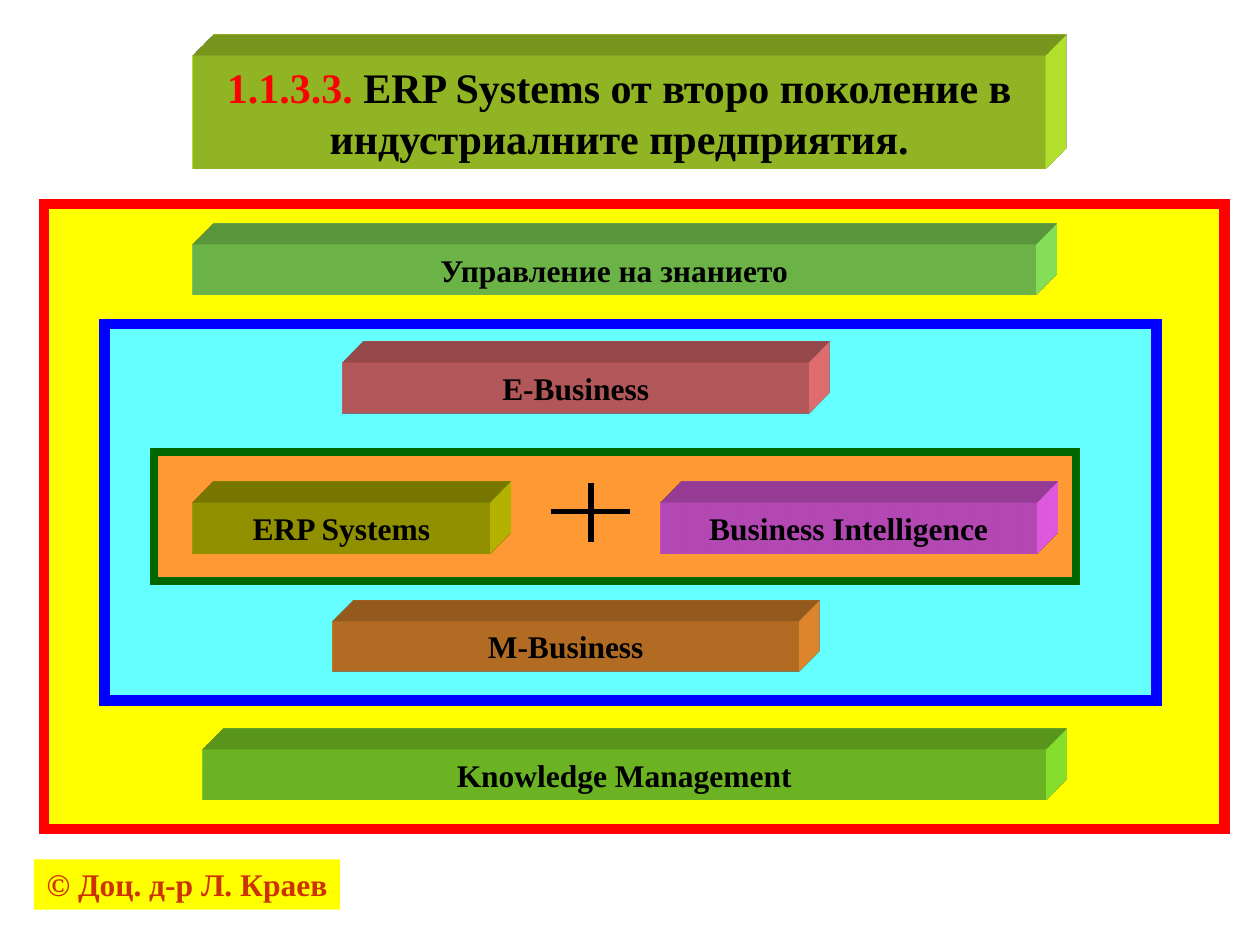
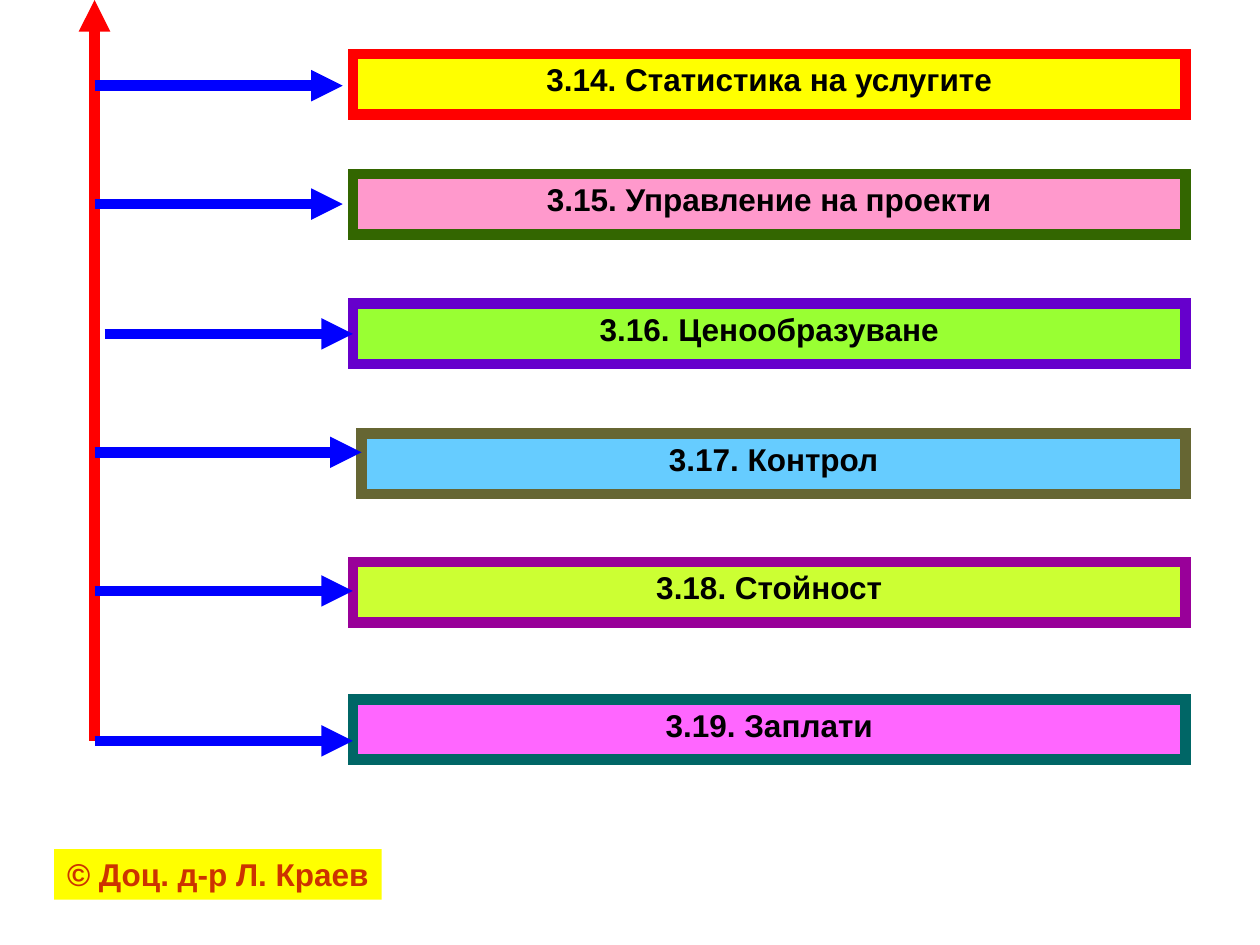
import dataclasses

import lxml.etree
import pptx
import pptx.dml.color
import pptx.enum.shapes
import pptx.enum.text
import pptx.oxml
import pptx.oxml.ns
import pptx.util

COLUMNS, ROWS = 100, 75
TITLE_ONLY, BLANK = 5, 6
RECTANGLE = pptx.enum.shapes.MSO_SHAPE.RECTANGLE

EXTRUSION = """
<a:extrusion xmlns:a="http://schemas.openxmlformats.org/drawingml/2006/main">
  <a:scene3d>
    <a:camera prst="legacyObliqueTopRight"/>
    <a:lightRig rig="legacyFlat3" dir="b"/>
  </a:scene3d>
  <a:sp3d extrusionH="430200" prstMaterial="legacyMatte">
    <a:bevelT w="13500" h="13500" prst="angle"/>
    <a:bevelB w="13500" h="13500" prst="angle"/>
    <a:extrusionClr><a:srgbClr val="{color}"/></a:extrusionClr>
  </a:sp3d>
</a:extrusion>"""


@dataclasses.dataclass(frozen=True)
class Theme:
    serif: str = "Times New Roman"
    sans: str = "Arial"
    title_size: float = 24
    label_size: float = 18
    frame_width: float = 6
    black: str = "000000"
    red: str = "FF0000"
    rust: str = "CC3300"
    yellow: str = "FFFF00"
    blue: str = "0000FF"
    cyan: str = "66FFFF"
    orange: str = "FF9933"
    green: str = "006600"
    forest: str = "336600"
    pale_green: str = "99FF66"
    lime: str = "99FF33"
    chartreuse: str = "CCFF33"
    coral: str = "FF7C80"
    pink: str = "FF99CC"
    magenta: str = "FF66FF"
    olive: str = "CCCC00"
    khaki: str = "666633"
    violet: str = "6600CC"
    purple: str = "990099"
    sky: str = "66CCFF"
    teal: str = "006666"


THEME = Theme()


def rgb(color):
    return pptx.dml.color.RGBColor.from_string(color)


def write(shape, *runs, font, size=THEME.label_size, wrap=True):
    """Fill a shape with one bold centred paragraph of (text, color) runs."""
    frame = shape.text_frame
    frame.word_wrap = wrap
    frame.auto_size = pptx.enum.text.MSO_AUTO_SIZE.NONE
    frame.vertical_anchor = pptx.enum.text.MSO_ANCHOR.TOP
    paragraph = frame.paragraphs[0]
    paragraph.alignment = pptx.enum.text.PP_ALIGN.CENTER
    for text, color in runs:
        run = paragraph.add_run()
        run.text = text
        run.font.name = font
        run.font.size = pptx.util.Pt(size)
        run.font.bold = True
        run.font.color.rgb = rgb(color)


class Deck:
    def __init__(self, theme):
        self.theme = theme
        self.presentation = pptx.Presentation()
        self.presentation.slide_width = pptx.util.Inches(10)
        self.presentation.slide_height = pptx.util.Inches(7.5)
        self.slide = None

    def x(self, columns):
        return round(self.presentation.slide_width * columns / COLUMNS)

    def y(self, rows):
        return round(self.presentation.slide_height * rows / ROWS)

    def area(self, left, top, width, height):
        return self.x(left), self.y(top), self.x(width), self.y(height)

    def new_slide(self, layout):
        layouts = self.presentation.slide_layouts
        self.slide = self.presentation.slides.add_slide(layouts[layout])

    def title(self, area, *runs):
        shape = self.slide.shapes.title
        shape.left, shape.top, shape.width, shape.height = self.area(*area)
        write(shape, *runs, font=self.theme.serif, size=self.theme.title_size)
        # Titles stay in front of the bar that carries them.
        self.slide.shapes[-1].element.addnext(shape.element)

    def box(self, area, fill, line=None, line_width=THEME.frame_width):
        shape = self.slide.shapes.add_shape(RECTANGLE, *self.area(*area))
        shape.shadow.inherit = False
        shape.fill.solid()
        shape.fill.fore_color.rgb = rgb(fill)
        if line:
            shape.line.color.rgb = rgb(line)
            shape.line.width = pptx.util.Pt(line_width)
            miter = lxml.etree.SubElement(
                shape.line._get_or_add_ln(), pptx.oxml.ns.qn("a:miter"))
            miter.set("lim", "800000")
        else:
            shape.line.fill.background()
        return shape

    def bar(self, area, fill, text=None):
        """Add a block with depth toward the top right."""
        shape = self.box(area, fill)
        for part in list(pptx.oxml.parse_xml(EXTRUSION.format(color=fill))):
            shape.element.spPr.append(part)
        if text:
            write(shape, (text, self.theme.black), font=self.theme.serif)

    def line(self, start, end, color, width, arrow=False):
        connector = self.slide.shapes.add_connector(
            pptx.enum.shapes.MSO_CONNECTOR.STRAIGHT,
            self.x(start[0]), self.y(start[1]), self.x(end[0]), self.y(end[1]))
        connector.line.color.rgb = rgb(color)
        connector.line.width = pptx.util.Pt(width)
        qualified = pptx.oxml.ns.qn
        if arrow:
            head = lxml.etree.SubElement(
                connector.line._get_or_add_ln(), qualified("a:tailEnd"))
            head.set("type", "triangle")
        lxml.etree.SubElement(
            connector._element.spPr, qualified("a:effectLst"))

    def footer(self, area, font):
        shape = self.box(area, self.theme.yellow)
        write(shape, ("© Доц. д-р Л. Краев", self.theme.rust),
              font=font, wrap=False)


def build_generation_slide(deck):
    theme = deck.theme
    deck.new_slide(TITLE_ONLY)
    deck.footer((2.7, 68.2, 24.3, 4), theme.serif)

    title_area = (15.3, 4.4, 67.7, 9)
    deck.bar(title_area, theme.chartreuse)
    deck.title(
        title_area, ("1.1.3.3. ", theme.red),
        ("ERP Systems от второ поколение в индустриалните предприятия.",
         theme.black))

    deck.box((3.5, 16.2, 93.7, 49.6), theme.yellow, theme.red)
    deck.box((8.3, 25.7, 83.5, 29.9), theme.cyan, theme.blue)
    deck.box((12.2, 35.9, 73.2, 10.2), theme.orange, theme.green, 4.5)

    for text, left, top, width, fill in (
            ("Управление на знанието", 15.3, 19.4, 66.9, theme.pale_green),
            ("Knowledge Management", 16.1, 59.5, 66.9, theme.lime),
            ("E-Business", 27.2, 28.8, 37, theme.coral),
            ("M-Business", 26.4, 49.3, 37, theme.orange),
            ("Business Intelligence", 52.4, 39.9, 29.9, theme.magenta),
            ("ERP Systems", 15.3, 39.9, 23.6, theme.olive)):
        deck.bar((left, top, width, 4), fill, text)

    deck.line((43.7, 40.6), (50, 40.6), theme.black, 3)
    deck.line((46.9, 38.3), (46.9, 43), theme.black, 3)


def build_modules_slide(deck):
    theme = deck.theme
    deck.new_slide(BLANK)
    deck.footer((4.3, 67.4, 26, 4), theme.sans)

    axis, right_edge = 7.5, 94.1
    deck.line((axis, 58.8), (axis, 0), theme.red, theme.frame_width, arrow=True)

    modules = (
        ("3.14. Статистика на услугите", 28, 4.3, theme.yellow, theme.red),
        ("3.15. Управление на проекти", 28, 13.8, theme.pink, theme.forest),
        ("3.16. Ценообразуване", 28, 24.1, theme.lime, theme.violet),
        ("3.17. Контрол", 28.7, 34.4, theme.sky, theme.khaki),
        ("3.18. Стойност", 28, 44.6, theme.chartreuse, theme.purple),
        ("3.19. Заплати", 28, 55.5, theme.magenta, theme.teal))
    for text, left, top, fill, line in modules:
        shape = deck.box((left, top, right_edge - left, 4.8), fill, line)
        write(shape, (text, theme.black), font=theme.sans)

    for start, end, level in (
            (axis, 27.2, 6.8), (axis, 27.2, 16.2), (8.3, 28, 26.5),
            (axis, 28.7, 35.9), (axis, 28, 46.9), (axis, 28, 58.8)):
        deck.line((start, level), (end, level), theme.blue,
                  theme.frame_width, arrow=True)


def main():
    deck = Deck(THEME)
    build_generation_slide(deck)
    build_modules_slide(deck)
    deck.presentation.save("out.pptx")


if __name__ == "__main__":
    main()
